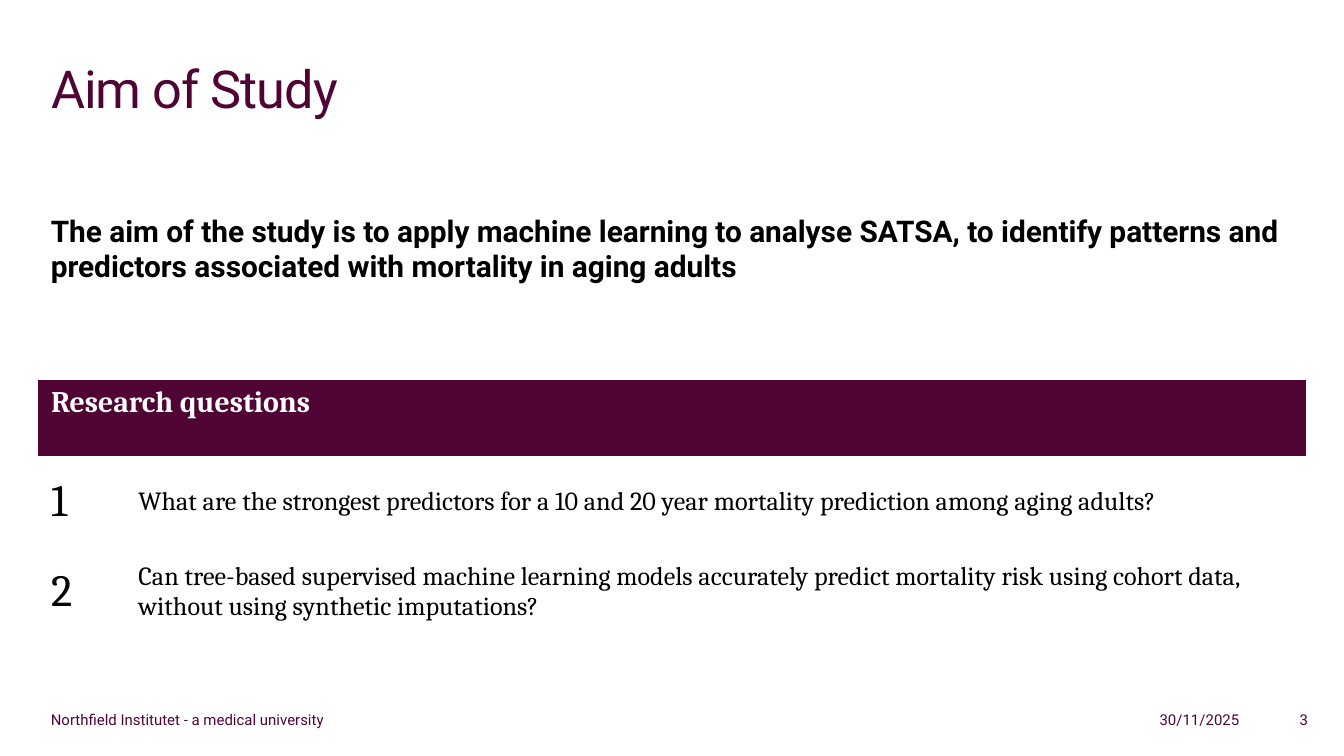
from pptx import Presentation
from pptx.dml.color import RGBColor
from pptx.enum.text import MSO_ANCHOR, PP_ALIGN
from pptx.util import Inches, Pt

COLORS = {"plum": "4F0433", "black": "000000", "white": "FFFFFF"}
SANS, SERIF = "Roboto", "Cambria"
LEFT, WIDTH = 0.28, 9.44

TITLE = "Aim of Study"
AIM = ("The aim of the study is to apply machine learning to analyse SATSA, "
       "to identify patterns and predictors associated with mortality in aging adults")
HEADING = "Research questions"
QUESTIONS = [
    "What are the strongest predictors for a 10 and 20 year mortality prediction "
    "among aging adults?",
    "Can tree-based supervised machine learning models accurately predict mortality "
    "risk using cohort data, without using synthetic imputations?",
]
# text, left, width, alignment
FOOTER = [
    ("Northfield Institutet - a medical university", LEFT, 2.44, PP_ALIGN.LEFT),
    ("30/11/2025", 7.24, 2.08, PP_ALIGN.RIGHT),
    ("3", 9.08, 0.75, PP_ALIGN.RIGHT),
]
COL_WIDTHS = [0.65, 8.79]
ROW_HEIGHTS = [0.58, 0.67, 0.67]


def write(tf, text, size, font, color, bold=False, align=PP_ALIGN.LEFT):
    tf.word_wrap = True
    p = tf.paragraphs[0]
    p.alignment = align
    r = p.add_run()
    r.text = text
    r.font.size = Pt(size)
    r.font.name = font
    r.font.bold = bold
    r.font.color.rgb = RGBColor.from_string(COLORS[color])
    return p


def add_text(slide, box, *args, **kwargs):
    sp = slide.shapes.add_textbox(*map(Inches, box))
    return write(sp.text_frame, *args, **kwargs)


prs = Presentation()
prs.slide_width = Inches(10)
prs.slide_height = prs.slide_width * 9 // 16
slide = prs.slides.add_slide(prs.slide_layouts[5])

title = slide.shapes.title
title.left, title.top = Inches(LEFT), Inches(0.37)
title.width, title.height = Inches(WIDTH), Inches(0.94)
title.text_frame.vertical_anchor = MSO_ANCHOR.TOP
p = write(title.text_frame, TITLE, 28, SANS, "plum")
p.runs[0].font._element.set("spc", "-50")

p = add_text(slide, (LEFT, 1.53, WIDTH, 0.99), AIM, 16, SANS, "black", bold=True)
p.space_before = Pt(3.2)

for text, left, width, align in FOOTER:
    add_text(slide, (left, 5.24, width, 0.19), text, 8, SANS, "plum", align=align)

table = slide.shapes.add_table(
    len(ROW_HEIGHTS), len(COL_WIDTHS), Inches(LEFT), Inches(2.82),
    Inches(WIDTH), Inches(sum(ROW_HEIGHTS))).table
table.first_row = table.horz_banding = False
for col, width in zip(table.columns, COL_WIDTHS):
    col.width = Inches(width)
for row, height in zip(table.rows, ROW_HEIGHTS):
    row.height = Inches(height)

header = table.cell(0, 0)
header.merge(table.cell(0, 1))
header.fill.solid()
header.fill.fore_color.rgb = RGBColor.from_string(COLORS["plum"])
write(header.text_frame, HEADING, 16, SERIF, "white", bold=True)

for number, question in enumerate(QUESTIONS, 1):
    for col, (text, size) in enumerate([(str(number), 24), (question, 14)]):
        cell = table.cell(number, col)
        cell.fill.background()
        cell.vertical_anchor = MSO_ANCHOR.MIDDLE
        write(cell.text_frame, text, size, SERIF, "black")

prs.save("out.pptx")
